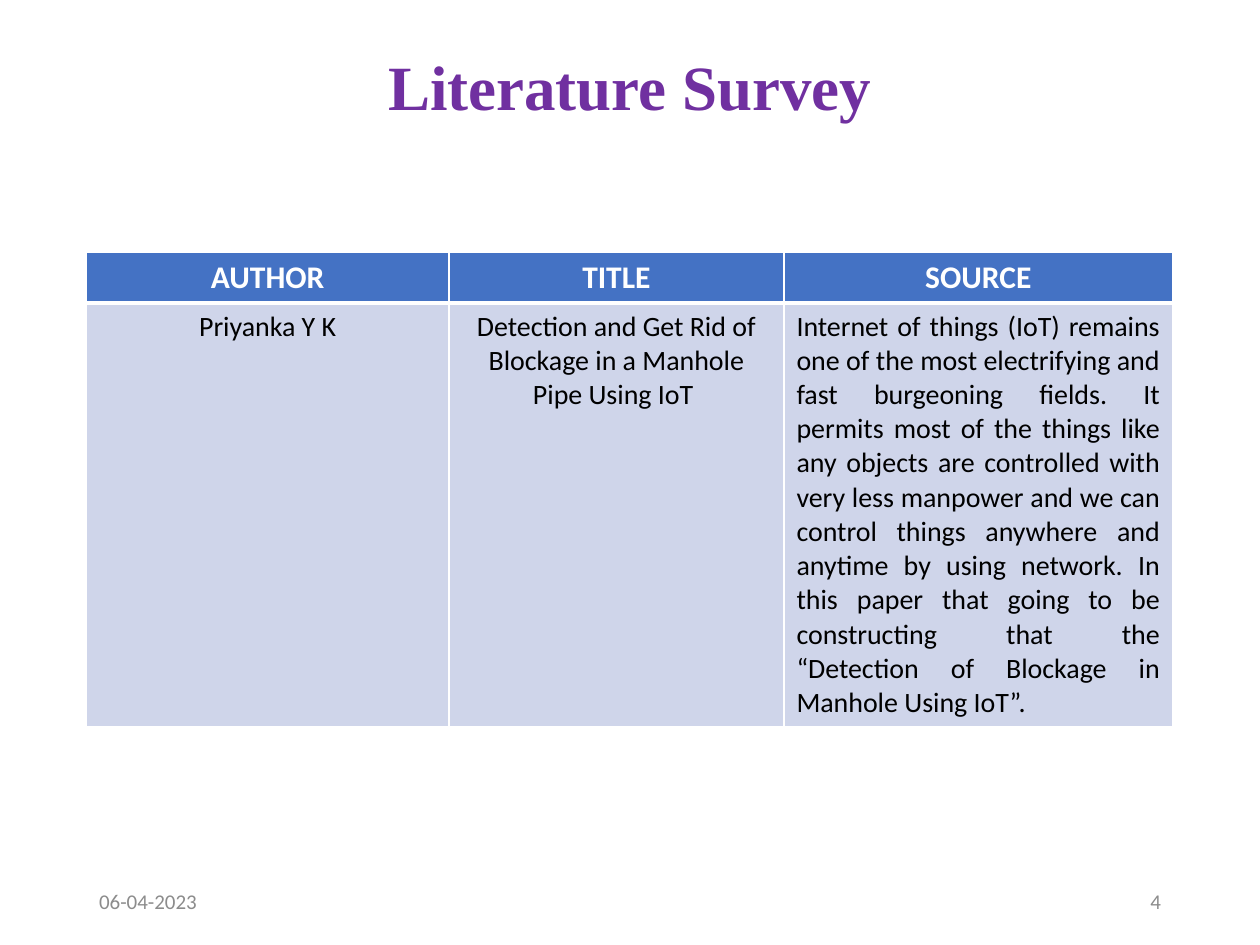
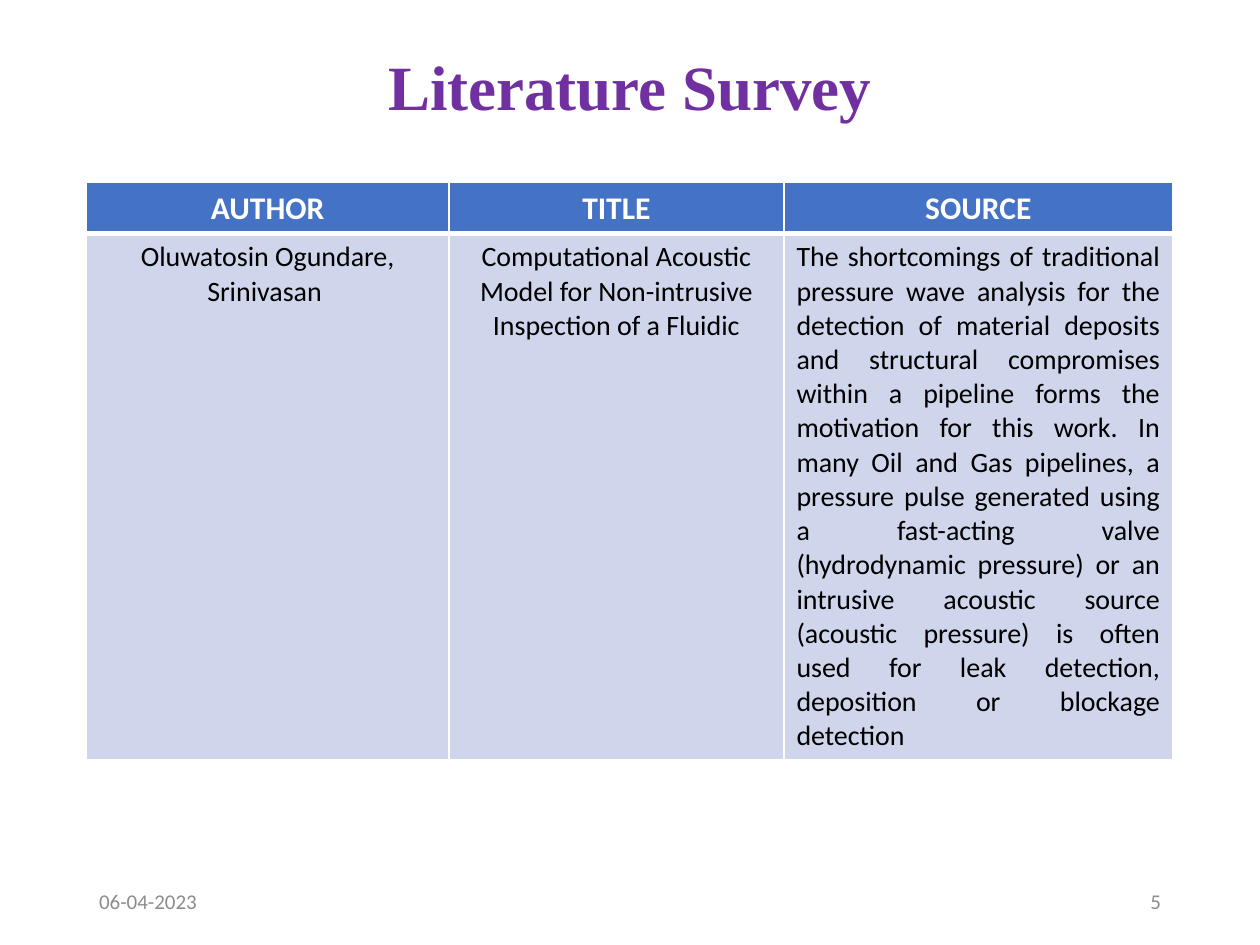
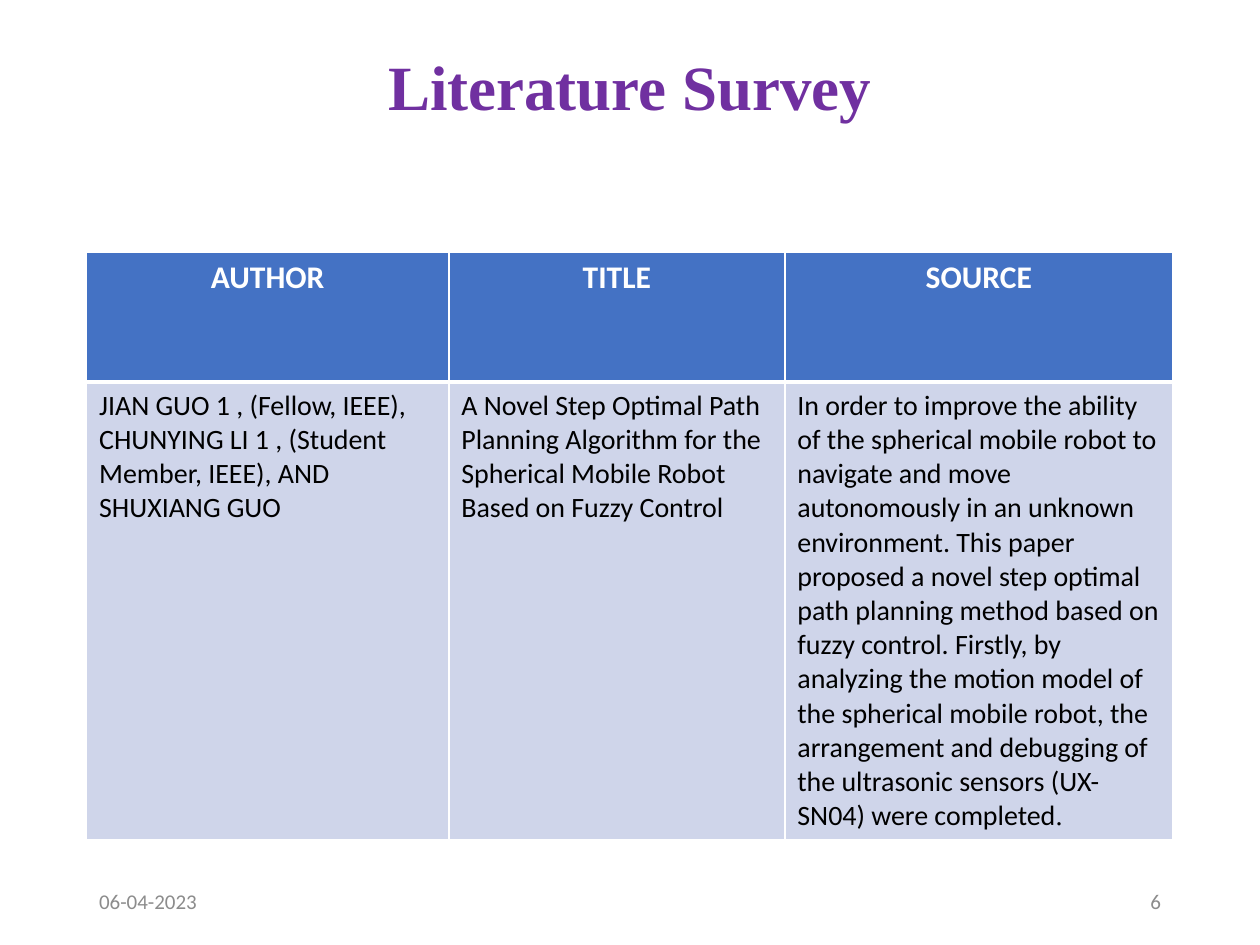
from lxml.etree import SubElement
from pptx import Presentation
from pptx.dml.color import RGBColor
from pptx.enum.text import MSO_ANCHOR, MSO_AUTO_SIZE, PP_ALIGN
from pptx.oxml.ns import qn
from pptx.util import Pt

COLORS = {
    "title": "7030A0",
    "header": "4472C4",
    "body": "CFD5EA",
    "white": "FFFFFF",
    "black": "000000",
    "footer": "8C8C8C",
}
TITLE_FONT = "Times New Roman"
BODY_FONT = "Calibri"
LEFT, WIDTH = 49.5, 621
FOOTER_WIDTH = 162
DATE = "06-04-2023"
HEADINGS = ("AUTHOR", "TITLE", "SOURCE")

SURVEYS = [
    {
        "number": "4",
        "top": 144,
        "columns": (207, 191.5, 222.2),
        "rows": (28.8, 237.6),
        "alignments": (PP_ALIGN.CENTER, PP_ALIGN.CENTER, PP_ALIGN.JUSTIFY),
        "cells": (
            [("Priyanka Y K", BODY_FONT)],
            [("Detection and Get Rid of Blockage in a Manhole Pipe Using IoT ", BODY_FONT)],
            [("Internet of things (IoT) remains one of the most electrifying and fast "
              "burgeoning fields. It permits most of the things like any objects are "
              "controlled with very less manpower and we can control things anywhere and "
              "anytime by using network. In this paper that going to be constructing that "
              "the “Detection of Blockage in Manhole Using IoT”. ", BODY_FONT)],
        ),
    },
    {
        "number": "5",
        "top": 104.4,
        "columns": (207, 191.5, 222.2),
        "rows": (28.8, 295.2),
        "alignments": (PP_ALIGN.CENTER, PP_ALIGN.CENTER, PP_ALIGN.JUSTIFY),
        "cells": (
            [("Oluwatosin Ogundare, Srinivasan ", BODY_FONT)],
            [("Computational Acoustic Model for Non-intrusive Inspection of a Fluidic", BODY_FONT)],
            [("The shortcomings of traditional pressure wave analysis for the detection of "
              "material deposits and structural compromises within a pipeline forms the "
              "motivation for this work. In many Oil and Gas pipelines, a pressure pulse "
              "generated using a fast-acting valve (hydrodynamic pressure) or an intrusive "
              "acoustic source (acoustic pressure) is often used for leak detection, "
              "deposition or blockage detection", BODY_FONT)],
        ),
    },
    {
        "number": "6",
        "top": 144,
        "columns": (207, 192, 221.7),
        "rows": (74.4, 256.8),
        "alignments": (PP_ALIGN.LEFT,) * 3,
        "cells": (
            [("JIAN GUO 1 , (Fellow, IEEE), CHUNYING LI 1 , (Student Member, IEEE), "
              "AND SHUXIANG GUO", BODY_FONT)],
            [("A Novel Step Optimal Path Planning Algorithm for the Spherical Mobile Robot "
              "Based on Fuzzy Control", BODY_FONT)],
            [("In order to improve the ability of the spherical mobile robot to navigate and "
              "move autonomously in an unknown environment. This paper proposed a novel step "
              "optimal path planning method based on fuzzy control. Firstly, by analyzing the "
              "motion model of the spherical mobile robot, the arrangement and debugging of "
              "the ultrasonic sensors (UX-SN04) were completed", BODY_FONT),
             (".", TITLE_FONT)],
        ),
    },
]


def add_run(paragraph, text, font, size, color, bold=False):
    """Append one formatted run to a paragraph."""
    run = paragraph.add_run()
    run.text = text
    run.font.name = font
    run.font.size = Pt(size)
    run.font.bold = bold
    run.font.color.rgb = RGBColor.from_string(COLORS[color])


def place(shape, left, top, width, height):
    """Set the position and size of a shape in points."""
    shape.left, shape.top = Pt(left), Pt(top)
    shape.width, shape.height = Pt(width), Pt(height)


def add_title(slide, text):
    """Fill the title placeholder in the shared title style."""
    title = slide.shapes.title
    place(title, LEFT, 28.8, WIDTH, 45.4)
    frame = title.text_frame
    frame.auto_size = MSO_AUTO_SIZE.NONE
    frame.vertical_anchor = MSO_ANCHOR.MIDDLE
    paragraph = frame.paragraphs[0]
    paragraph.alignment = PP_ALIGN.CENTER
    paragraph.line_spacing = 0.9
    add_run(paragraph, text, TITLE_FONT, 36, "title", bold=True)


def add_footer(slide, text, left, alignment):
    """Add one small grey text on the footer line."""
    box = slide.shapes.add_textbox(Pt(left), Pt(500.5), Pt(FOOTER_WIDTH), Pt(28.8))
    frame = box.text_frame
    frame.word_wrap = True
    frame.vertical_anchor = MSO_ANCHOR.MIDDLE
    paragraph = frame.paragraphs[0]
    paragraph.alignment = alignment
    add_run(paragraph, text, BODY_FONT, 12, "footer")


def set_borders(cell, top, bottom):
    """Draw white cell borders with the given top and bottom widths."""
    properties = cell._tc.get_or_add_tcPr()
    for side, width in (("L", 1), ("R", 1), ("T", top), ("B", bottom)):
        line = SubElement(properties, qn(f"a:ln{side}"), w=str(Pt(width)))
        fill = SubElement(line, qn("a:solidFill"))
        SubElement(fill, qn("a:srgbClr"), val=COLORS["white"])


def fill_cell(cell, runs, alignment, fill, size, color, bold, borders):
    """Write the runs into a cell and set its fill and borders."""
    set_borders(cell, *borders)
    cell.fill.solid()
    cell.fill.fore_color.rgb = RGBColor.from_string(COLORS[fill])
    paragraph = cell.text_frame.paragraphs[0]
    paragraph.alignment = alignment
    for text, font in runs:
        add_run(paragraph, text, font, size, color, bold)


def add_survey_table(slide, survey):
    """Add the table with a heading row and one surveyed paper."""
    frame = slide.shapes.add_table(
        2, len(HEADINGS), Pt(LEFT), Pt(survey["top"]), Pt(WIDTH), Pt(sum(survey["rows"])))
    table = frame.table
    for row, height in zip(table.rows, survey["rows"]):
        row.height = Pt(height)
    for index, heading in enumerate(HEADINGS):
        table.columns[index].width = Pt(survey["columns"][index])
        fill_cell(table.cell(0, index), [(heading, BODY_FONT)], PP_ALIGN.CENTER,
                  "header", 18, "white", True, (1, 3))
        fill_cell(table.cell(1, index), survey["cells"][index], survey["alignments"][index],
                  "body", 16, "black", False, (3, 1))


def main():
    """Build the literature survey slides and save them."""
    presentation = Presentation()
    presentation.slide_width, presentation.slide_height = Pt(720), Pt(540)
    for survey in SURVEYS:
        slide = presentation.slides.add_slide(presentation.slide_layouts[5])
        add_title(slide, "Literature Survey")
        add_survey_table(slide, survey)
        add_footer(slide, DATE, LEFT, PP_ALIGN.LEFT)
        add_footer(slide, survey["number"], LEFT + WIDTH - FOOTER_WIDTH, PP_ALIGN.RIGHT)
    presentation.save("out.pptx")


if __name__ == "__main__":
    main()
